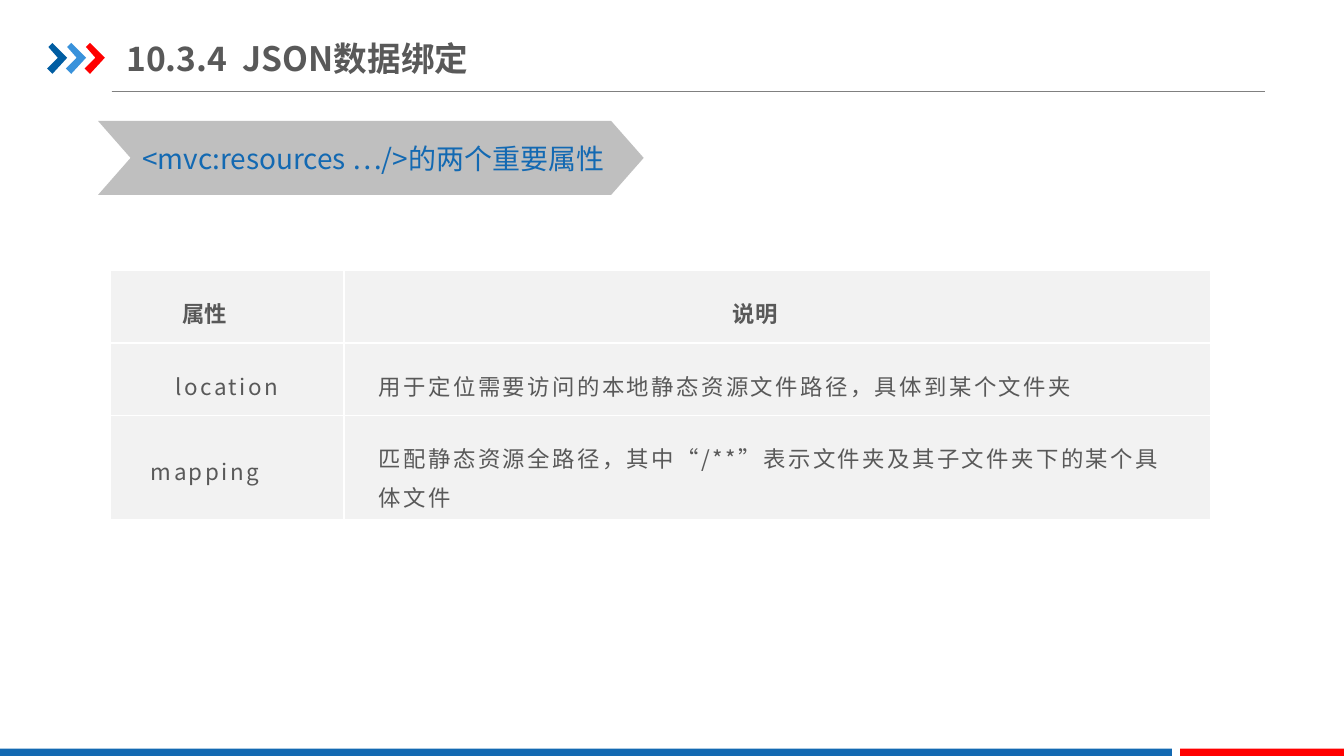
from pptx import Presentation
from pptx.util import Inches, Pt
from pptx.dml.color import RGBColor as RGB
from pptx.enum.shapes import MSO_SHAPE as Shape, MSO_CONNECTOR as Conn
from pptx.enum.text import PP_ALIGN as Align, MSO_ANCHOR as Anchor
from pptx.oxml import parse_xml
from pptx.oxml.ns import nsdecls, qn
from lxml.etree import SubElement as Sub

FONT = "Noto Sans CJK SC"
HUE = {"blue": "1369B2", "navy": "005DA2", "sky": "3992DB", "red": "FF0000",
       "gray": "808080", "band": "BFBFBF", "cell": "F2F2F2",
       "text": "595959", "white": "FFFFFF"}
TITLE = "10.3.4  JSON数据绑定"
HEAD = "<mvc:resources …/>的两个重要属性"
ROWS = [("属性", "说明"),
        ("location", "用于定位需要访问的本地静态资源文件路径，具体到某个文件夹"),
        ("mapping", "匹配静态资源全路径，其中“/**”表示文件夹及其子文件夹下的某个具体文件")]
WIDE = [1.74, 6.45]
HIGH = [0.51, 0.51, 0.75]
MARK = [(0.01, 0.03), (0.04, 0), (0.15, 0.11), (0.04, 0.23), (0, 0.19), (0.08, 0.11)]
BARS = [(0, 8.72, "blue"), (8.78, 1.22, "red")]

deck = Presentation()
deck.slide_width = Inches(10)
deck.slide_height = deck.slide_width * 9 // 16
slide = deck.slides.add_slide(deck.slide_layouts[6])
shapes = slide.shapes


def paint(shape, hue):
    shape.shadow.inherit = False
    shape.fill.solid()
    shape.fill.fore_color.rgb = RGB.from_string(HUE[hue])
    shape.line.fill.background()


def style(para, text, size, hue, bold=False):
    para.text = text
    for run in para.runs:
        font = run.font
        font.name, font.size, font.bold = FONT, Pt(size), bold
        font.color.rgb = RGB.from_string(HUE[hue])
        for tag in ("a:ea", "a:cs"):
            Sub(font._element, qn(tag)).set("typeface", FONT)


def label(box, text, size, hue, bold=False, wrap=True):
    area = shapes.add_textbox(*map(Inches, box))
    frame = area.text_frame
    frame.word_wrap = wrap
    style(frame.paragraphs[0], text, size, hue, bold)
    return frame


def edge(cell, sides):
    props = cell._tc.get_or_add_tcPr()
    for spot, side in enumerate(sides):
        props.insert(spot, parse_xml(
            f'<a:ln{side} {nsdecls("a")} w="12700"><a:solidFill>'
            f'<a:srgbClr val="{HUE["white"]}"/></a:solidFill></a:ln{side}>'))


for end in (9.12, 9.41):
    rule = shapes.add_connector(Conn.STRAIGHT, Inches(0.83), Inches(0.68),
                                Inches(end), Inches(0.68))
    rule.line.color.rgb = RGB.from_string(HUE["gray"])
    rule.line.width = Pt(0.75)
    Sub(rule._element.spPr, qn("a:effectLst"))

for step, hue in enumerate(("navy", "sky", "red")):
    dots = [(Inches(0.35 + 0.14 * step + x), Inches(0.32 + y)) for x, y in MARK]
    path = shapes.build_freeform(*dots[0], scale=1.0)
    path.add_line_segments(dots[1:], close=True)
    paint(path.convert_to_shape(), hue)

for left, wide, hue in BARS:
    paint(shapes.add_shape(Shape.RECTANGLE, Inches(left), Inches(5.57),
                           Inches(wide), Inches(0.07)), hue)

band = shapes.add_shape(Shape.CHEVRON, Inches(0.73), Inches(0.9),
                        Inches(4.06), Inches(0.55))
band.adjustments[0] = 0.44
paint(band, "band")
label((0.96, 1, 3.73, 0.35), HEAD, 15, "blue", wrap=False)
frame = label((0.94, 0.22, 2.79, 0.42), TITLE, 18, "text", bold=True)
frame.margin_left = frame.margin_right = 0
frame.vertical_anchor = Anchor.MIDDLE

grid = shapes.add_table(len(ROWS), len(WIDE), Inches(0.82), Inches(2.01),
                        Inches(sum(WIDE)), Inches(sum(HIGH))).table
for col, wide in zip(grid.columns, WIDE):
    col.width = Inches(wide)
for row, high in zip(grid.rows, HIGH):
    row.height = Inches(high)

for r, row in enumerate(ROWS):
    for c, text in enumerate(row):
        cell = grid.cell(r, c)
        cell.fill.solid()
        cell.fill.fore_color.rgb = RGB.from_string(HUE["cell"])
        cell.vertical_anchor = Anchor.MIDDLE
        cell.margin_left = cell.margin_right = Inches(0.26)
        cell.margin_top = cell.margin_bottom = Inches(0.15)
        if r == 0 or text == "mapping":
            cell.margin_right = Inches(0.59)
        para = cell.text_frame.paragraphs[0]
        style(para, text, 12, "text", bold=r == 0)
        para.line_spacing = 1.2
        para.alignment = Align.CENTER if r == 0 or c == 0 else Align.LEFT
        if r:
            para.runs[0].font._element.set("spc", "130")
        sides = ["R"] if c == 0 else ["L"]
        sides += ["T"] if r else []
        sides += ["B"] if r < len(ROWS) - 1 else []
        edge(cell, sides)

deck.save("out.pptx")
